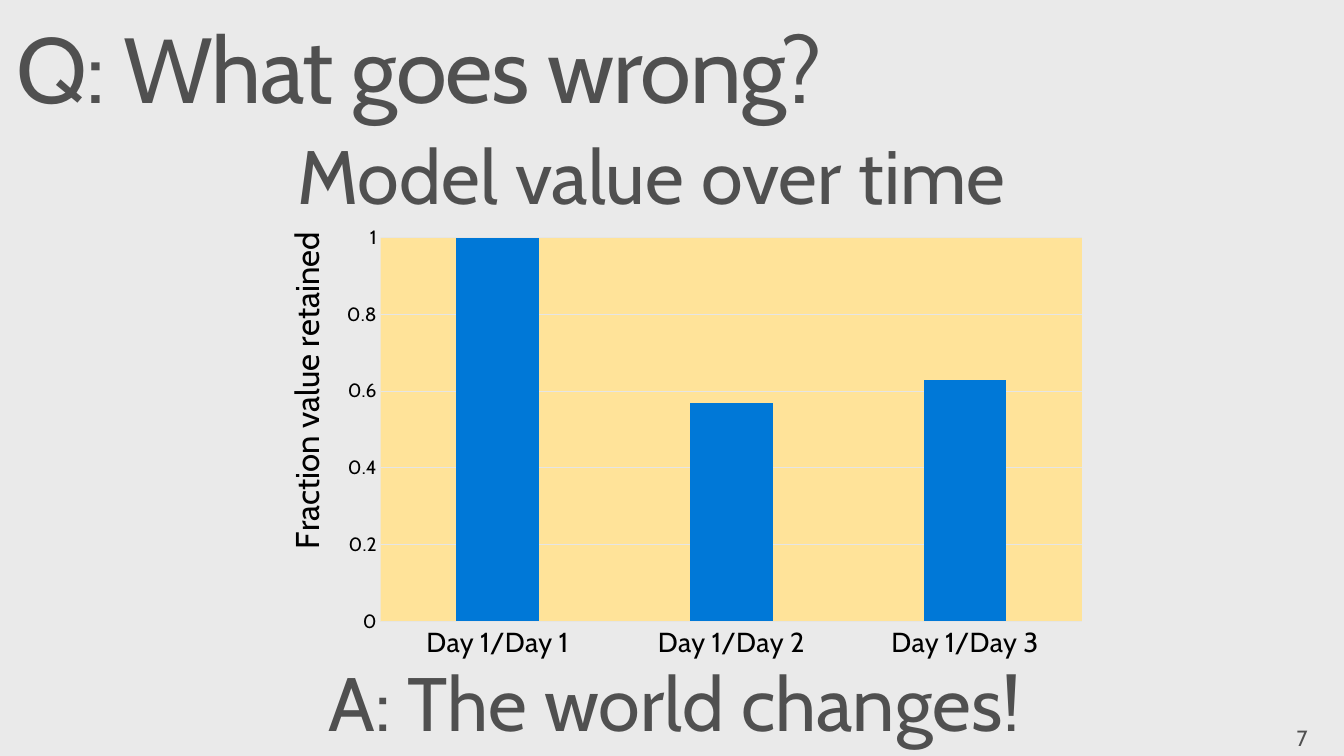
from dataclasses import dataclass

from pptx import Presentation
from pptx.chart.chart import Chart
from pptx.chart.data import CategoryChartData
from pptx.dml.color import RGBColor
from pptx.enum.chart import XL_CHART_TYPE, XL_TICK_MARK
from pptx.enum.text import MSO_ANCHOR, MSO_AUTO_SIZE, PP_ALIGN
from pptx.oxml import parse_xml
from pptx.oxml.ns import nsdecls, qn
from pptx.slide import Slide
from pptx.util import Inches, Pt

COLUMNS = XL_CHART_TYPE.COLUMN_CLUSTERED
NO_TICK = XL_TICK_MARK.NONE
TOP, MIDDLE = MSO_ANCHOR.TOP, MSO_ANCHOR.MIDDLE
LEFT, CENTER = PP_ALIGN.LEFT, PP_ALIGN.CENTER
GROW = MSO_AUTO_SIZE.SHAPE_TO_FIT_TEXT


@dataclass(frozen=True)
class Theme:
    font: str = "Cabin"
    background: RGBColor = RGBColor(0xEA, 0xEA, 0xEA)
    text: RGBColor = RGBColor(0x50, 0x50, 0x50)
    axis_text: RGBColor = RGBColor(0, 0, 0)
    rule: RGBColor = RGBColor(0xE5, 0xE5, 0xE5)
    plot: RGBColor = RGBColor(0xFF, 0xE3, 0x99)
    column: RGBColor = RGBColor(0x00, 0x78, 0xD7)
    question_size: float = 67.3
    statement_size: float = 55.1
    page_size: float = 16
    axis_title_size: float = 24
    category_size: float = 20
    value_size: float = 14
    chart_size: float = 10
    rule_width: float = 0.75


@dataclass(frozen=True)
class Label:
    text: str
    box: tuple[float, float, float, float]
    size: float
    insets: tuple[float, float] = (0.1, 0.05)
    anchor: MSO_ANCHOR = MIDDLE
    align: PP_ALIGN = CENTER
    wrap: bool = True
    space_after: float = 0
    tracking: float = 0


THEME = Theme()
LABELS = [
    Label("7", (12.92, 7.24, 0.68, 0.57), THEME.page_size, (0.2, 0.16),
          TOP, LEFT, wrap=False, space_after=6),
    Label("Q: What goes wrong?", (0.01, 0.14, 11.73, 1.48), THEME.question_size,
          (0.16, 0.1), TOP, LEFT, tracking=-1),
    Label("A: The world changes!", (2.31, 6.41, 9.04, 1.48), THEME.statement_size),
    Label("Model value over time", (1.55, 1.08, 10.08, 1.48), THEME.statement_size),
]
CHART_BOX = (2.55, 2.2, 8.57, 4.57)
VALUE_RETAINED = {"Day 1/Day 1": 1, "Day 1/Day 2": 0.57, "Day 1/Day 3": 0.63}


def style_font(font, size: float, color: RGBColor) -> None:
    font.name = THEME.font
    font.size = Pt(size)
    font.bold = False
    font.color.rgb = color


def add_label(slide: Slide, label: Label) -> None:
    frame = slide.shapes.add_textbox(*map(Inches, label.box)).text_frame
    frame.word_wrap = label.wrap
    if not label.wrap:
        frame.auto_size = GROW
    frame.vertical_anchor = label.anchor
    side, edge = map(Inches, label.insets)
    frame.margin_left = frame.margin_right = side
    frame.margin_top = frame.margin_bottom = edge
    paragraph = frame.paragraphs[0]
    paragraph.alignment = label.align
    paragraph.line_spacing = 0.9
    paragraph.space_after = Pt(label.space_after)
    run = paragraph.add_run()
    run.text = label.text
    style_font(paragraph.font, label.size, THEME.text)
    if label.tracking:
        run.font._element.set("spc", str(round(label.tracking * 100)))


def manual_layout(*parts: tuple[str, object]):
    entries = "".join(f'<c:{tag} val="{value}"/>' for tag, value in parts)
    return parse_xml(f'<c:layout {nsdecls("c")}><c:manualLayout>{entries}'
                     "</c:manualLayout></c:layout>")


def style_rule(line) -> None:
    line.color.rgb = THEME.rule
    line.width = Pt(THEME.rule_width)


def style_axes(chart: Chart) -> None:
    days, value = chart.category_axis, chart.value_axis
    for axis, size in ((days, THEME.category_size), (value, THEME.value_size)):
        axis.major_tick_mark = axis.minor_tick_mark = NO_TICK
        style_font(axis.tick_labels.font, size, THEME.axis_text)
    style_rule(days.format.line)

    value.minimum_scale, value.maximum_scale, value.major_unit = 0, 1, 0.2
    value.has_major_gridlines = True
    style_rule(value.major_gridlines.format.line)
    value.format.line.fill.background()

    # Vertical axis title
    title = value.axis_title
    title.text_frame.text = "Fraction value retained"
    style_font(title.text_frame.paragraphs[0].font, THEME.axis_title_size,
               THEME.axis_text)
    body = title.text_frame._txBody.find(qn("a:bodyPr"))
    body.set("rot", "-5400000")
    body.set("vert", "horz")
    for previous in title._element.findall(qn("c:layout")):
        title._element.remove(previous)
    title._element.find(qn("c:tx")).addnext(manual_layout(
        ("xMode", "edge"), ("yMode", "edge"), ("x", 0.03), ("y", 0.02)))


def style_plot(chart: Chart) -> None:
    plot_area = chart._chartSpace.chart.plotArea
    for previous in plot_area.findall(qn("c:layout")):
        plot_area.remove(previous)
    plot_area.insert(0, manual_layout(
        ("layoutTarget", "inner"), ("xMode", "edge"), ("yMode", "edge"),
        ("x", 0.152), ("y", 0.045), ("w", 0.828), ("h", 0.85)))
    plot_area.append(parse_xml(
        f'<c:spPr {nsdecls("c", "a")}><a:solidFill><a:srgbClr val="{THEME.plot}"/>'
        "</a:solidFill><a:ln><a:noFill/></a:ln></c:spPr>"))
    plot = chart.plots[0]
    plot.gap_width = 182
    plot.vary_by_categories = False
    fill = plot.series[0].format.fill
    fill.solid()
    fill.fore_color.rgb = THEME.column


def add_value_chart(slide: Slide) -> None:
    data = CategoryChartData()
    data.categories = list(VALUE_RETAINED)
    data.add_series("Series 1", list(VALUE_RETAINED.values()))
    chart = slide.shapes.add_chart(COLUMNS, *map(Inches, CHART_BOX), data).chart
    chart.has_title = chart.has_legend = False
    style_font(chart.font, THEME.chart_size, THEME.text)
    style_axes(chart)
    style_plot(chart)


def main() -> None:
    deck = Presentation()
    deck.slide_width, deck.slide_height = Inches(13.6), Inches(7.65)
    slide = deck.slides.add_slide(deck.slide_layouts[6])
    background = slide.background.fill
    background.solid()
    background.fore_color.rgb = THEME.background

    # Page number, question, answer and chart heading
    for label in LABELS:
        add_label(slide, label)

    # Column chart
    add_value_chart(slide)
    deck.save("out.pptx")


if __name__ == "__main__":
    main()
